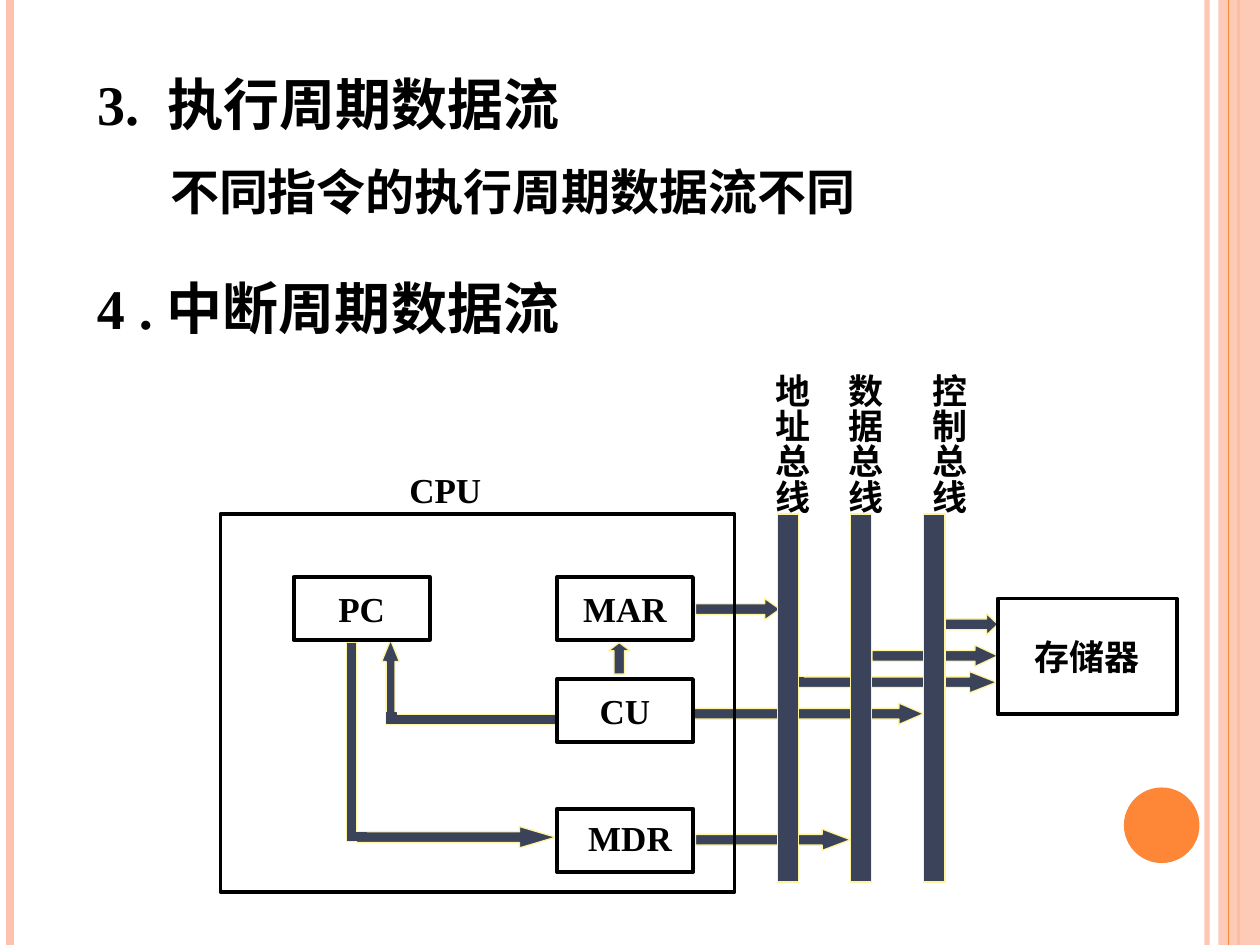
from dataclasses import dataclass

from lxml.etree import SubElement
from pptx import Presentation
from pptx.dml.color import RGBColor
from pptx.enum.shapes import MSO_CONNECTOR, MSO_SHAPE
from pptx.enum.text import MSO_ANCHOR, MSO_AUTO_SIZE, PP_ALIGN
from pptx.oxml.ns import qn
from pptx.util import Inches, Pt


@dataclass(frozen=True)
class Theme:
    font: str = "Times New Roman"
    ink: str = "000000"
    flow: str = "3B435B"
    edge: str = "FFF39D"
    pale: str = "FEC3AE"
    accent: str = "FE8637"
    heading: int = 32
    body: int = 28
    label: int = 20
    thin: float = 0.75
    frame: float = 2.25


THEME = Theme()
RIGHT, UP = MSO_SHAPE.RIGHT_ARROW, MSO_SHAPE.UP_ARROW


def rgb(code):
    return RGBColor.from_string(code)


def set_alpha(fill, percent):
    color = fill._xPr.find(qn("a:solidFill"))[0]
    SubElement(color, qn("a:alpha")).set("val", str(percent * 1000))


def write(shape, text, size, align=PP_ALIGN.LEFT, anchor=MSO_ANCHOR.TOP, wrap=False):
    tf = shape.text_frame
    tf.text = text
    tf.word_wrap = wrap
    tf.auto_size = MSO_AUTO_SIZE.NONE
    tf.vertical_anchor = anchor
    p = tf.paragraphs[0]
    p.alignment = align
    p.space_before = Pt(0)
    p.font.name = THEME.font
    p.font.size = Pt(size)
    p.font.bold = True
    p.font.color.rgb = rgb(THEME.ink)
    return p


def place(shape, x, y, w, h):
    shape.left, shape.top = Inches(x), Inches(y)
    shape.width, shape.height = Inches(w), Inches(h)


def add_text(s, text, box, size=THEME.label, wrap=False, vertical=False):
    tb = s.shapes.add_textbox(*map(Inches, box))
    write(tb, text, size, wrap=wrap)
    if vertical:
        tb.text_frame._txBody.bodyPr.set("vert", "eaVert")


def add_solid(s, kind, box, fill=THEME.flow, line=THEME.edge):
    sp = s.shapes.add_shape(kind, *map(Inches, box))
    sp.shadow.inherit = False
    sp.fill.solid()
    sp.fill.fore_color.rgb = rgb(fill)
    if line:
        sp.line.color.rgb = rgb(line)
        sp.line.width = Pt(THEME.thin)
    else:
        sp.line.fill.background()
    return sp


def add_arrow(s, kind, box, head):
    """Draw a block arrow; head is its length relative to the arrow's thickness."""
    add_solid(s, kind, box).adjustments[1] = head


def add_frame(s, box, text=""):
    sp = s.shapes.add_shape(MSO_SHAPE.RECTANGLE, *map(Inches, box))
    sp.shadow.inherit = False
    sp.fill.background()
    sp.line.color.rgb = rgb(THEME.ink)
    sp.line.width = Pt(THEME.frame)
    if text:
        write(sp, text, THEME.label, PP_ALIGN.CENTER, MSO_ANCHOR.MIDDLE)


def add_stripe(s, x, color, width, alpha=100):
    line = s.shapes.add_connector(
        MSO_CONNECTOR.STRAIGHT, Inches(x), 0, Inches(x), Inches(7.5))
    line.line.color.rgb = rgb(color)
    line.line.width = Pt(width)
    SubElement(line._element.spPr, qn("a:effectLst"))
    if alpha < 100:
        set_alpha(line.line.fill, alpha)


def add_decoration(s):
    add_stripe(s, 9.58, THEME.pale, 3, alpha=93)
    add_stripe(s, 0.08, THEME.pale, 4.5)
    add_stripe(s, 9.83, THEME.accent, 1.5)
    band = add_solid(s, MSO_SHAPE.RECTANGLE, (9.67, 0, 0.33, 7.5), THEME.pale, None)
    set_alpha(band.fill, 87)
    add_stripe(s, 9.75, THEME.accent, 0.75)
    add_solid(s, MSO_SHAPE.OVAL, (8.92, 6.25, 0.6, 0.6), THEME.accent, None)


def add_headings(s):
    title, body = s.placeholders
    place(title, 0.67, 0.5, 6.25, 0.63)
    write(title, "3.  执行周期数据流", THEME.heading, wrap=True)
    place(body, 1.25, 1.23, 5.83, 0.57)
    p = write(body, "不同指令的执行周期数据流不同", THEME.body, wrap=True)
    pPr = p._p.get_or_add_pPr()
    pPr.set("marL", "0")
    pPr.set("indent", "0")
    pPr.insert_element_before(
        pPr.makeelement(qn("a:buNone")), "a:tabLst", "a:defRPr", "a:extLst")
    add_text(s, "4 . 中断周期数据流", (0.67, 2.12, 6.25, 0.63), THEME.heading, wrap=True)


def add_flows(s):
    rect = MSO_SHAPE.RECTANGLE
    add_solid(s, rect, (2.75, 5.1, 0.08, 1.58))    # PC down to MDR
    add_solid(s, rect, (3.11, 5.67, 1.3, 0.08))    # CU across to PC
    arrows = [
        (RIGHT, (5.52, 4.75, 0.67, 0.17), 0.71),   # MAR to address bus
        (RIGHT, (2.83, 6.56, 1.58, 0.17), 1.69),   # PC to MDR
        (RIGHT, (5.52, 6.58, 1.23, 0.17), 1.32),   # MDR to data bus
        (RIGHT, (6.92, 5.12, 1, 0.17), 1.07),      # data bus to memory
        (RIGHT, (5.5, 5.58, 1.83, 0.17), 1.15),    # CU to control bus
        (RIGHT, (6.33, 5.33, 1.58, 0.17), 1.27),   # address bus to memory
        (RIGHT, (7.42, 4.87, 0.5, 0.17), 0.53),    # control bus to memory
        (UP, (3.03, 5.08, 0.14, 0.67), 1.22),      # CU to PC
        (UP, (4.83, 5.1, 0.17, 0.25), 0.38),       # CU to MAR
    ]
    for kind, box, head in arrows:
        add_arrow(s, kind, box, head)
    # Joints cover the outlines where two pieces of a flow meet
    for box in [(2.81, 6.61, 0.1, 0.06), (6.3, 5.38, 0.08, 0.05), (3.07, 5.66, 0.08, 0.08)]:
        add_solid(s, rect, box, line=THEME.flow)


def add_machine(s):
    for text, x, y in [("PC", 2.33, 4.58), ("MAR", 4.42, 4.58),
                       ("CU", 4.42, 5.39), ("", 4.42, 6.42)]:
        add_frame(s, (x, y, 1.08, 0.5), text)
    add_text(s, "MDR", (4.57, 6.43, 0.87, 0.43))
    buses = [("地址总线", 5.97), ("数据总线", 6.55), ("控制总线", 7.22)]
    for i, (name, label_x) in enumerate(buses):
        add_solid(s, MSO_SHAPE.RECTANGLE, (6.17 + 0.58 * i, 4.08, 0.17, 2.92))
        add_text(s, name, (label_x, 2.87, 0.53, 1.22), vertical=True)
    add_frame(s, (1.75, 4.08, 4.08, 3))
    add_text(s, "CPU", (3.15, 3.67, 0.77, 0.43))
    add_frame(s, (7.92, 4.75, 1.42, 0.92), "存储器")


def main():
    prs = Presentation()
    prs.slide_width, prs.slide_height = Inches(10), Inches(7.5)
    s = prs.slides.add_slide(prs.slide_layouts[1])
    add_decoration(s)
    add_headings(s)
    add_flows(s)
    add_machine(s)
    prs.save("out.pptx")


if __name__ == "__main__":
    main()
